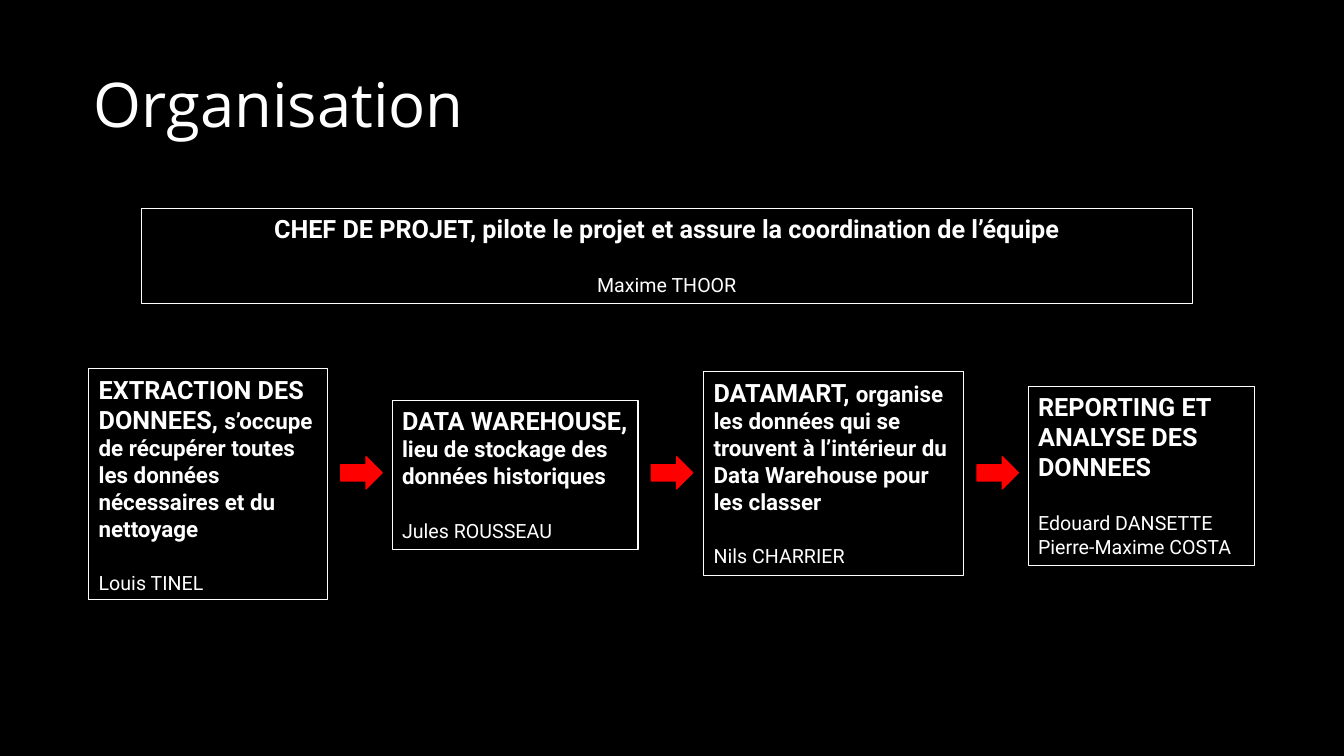
from dataclasses import dataclass
from typing import Optional

from pptx import Presentation
from pptx.dml.color import RGBColor
from pptx.enum.shapes import MSO_SHAPE as SHAPE
from pptx.enum.text import MSO_AUTO_SIZE as AUTO, PP_ALIGN as ALIGN
from pptx.util import Pt

WHITE, BLACK, RED = "FFFFFF", "000000", "FF0000"
BODY, HEADING = "Roboto", "Open Sans"
NAME_GAP = 21
ARROW_GAP, ARROW_TOP, ARROW_W, ARROW_H = 9.5, 326.2, 29.5, 23


@dataclass
class Role:
    left: float
    top: float
    width: float
    height: float
    title: str
    people: list[str]
    detail: str = ""
    detail_size: int = 16
    align: Optional[ALIGN] = None


manager = Role(100.8, 149, 751, 67.7, "CHEF DE PROJET, ", ["Maxime THOOR"],
               "pilote le projet et assure la coordination de l’équipe",
               18, ALIGN.CENTER)
steps = [
    Role(63.4, 263.5, 170.6, 164.9, "EXTRACTION DES DONNEES, ", ["Louis TINEL"],
         "s’occupe de récupérer toutes les données nécessaires et du nettoyage"),
    Role(280.1, 285.8, 175.7, 106.6, "DATA WAREHOUSE, ", ["Jules ROUSSEAU"],
         "lieu de stockage des données historiques"),
    Role(502.6, 265.7, 185.8, 145.4, "DATAMART, ", ["Nils CHARRIER"],
         "organise les données qui se trouvent à l’intérieur du "
         "Data Warehouse pour les classer"),
    Role(734.4, 275.8, 162, 128.2, "REPORTING ET ANALYSE DES DONNEES",
         ["Edouard DANSETTE", "Pierre-Maxime COSTA"]),
]


def rgb(color: str) -> RGBColor:
    return RGBColor.from_string(color)


def add_run(p, text: str, size: float, bold: bool = False, name: str = BODY) -> None:
    r = p.add_run()
    r.text = text
    for key, value in dict(size=Pt(size), bold=bold, name=name).items():
        setattr(r.font, key, value)
    r.font.color.rgb = rgb(WHITE)


def add_text_box(left: float, top: float, width: float, height: float):
    s = slide.shapes.add_textbox(Pt(left), Pt(top), Pt(width), Pt(height))
    s.text_frame.word_wrap = True
    return s


def add_role(role: Role) -> None:
    s = add_text_box(role.left, role.top, role.width, role.height)
    s.line.color.rgb = rgb(WHITE)
    s.line.width = Pt(0.75)
    tf = s.text_frame
    tf.auto_size = AUTO.SHAPE_TO_FIT_TEXT
    p = tf.paragraphs[0]
    p.alignment = role.align
    add_run(p, role.title, 18, bold=True)
    if role.detail:
        add_run(p, role.detail, role.detail_size, bold=True)
    for i, person in enumerate(role.people):
        p = tf.add_paragraph()
        p.alignment = role.align
        p.space_before = Pt(0 if i else NAME_GAP)
        add_run(p, person, 14)


def add_arrow(left: float) -> None:
    s = slide.shapes.add_shape(SHAPE.RIGHT_ARROW, Pt(left), Pt(ARROW_TOP),
                               Pt(ARROW_W), Pt(ARROW_H))
    s.shadow.inherit = False
    s.fill.solid()
    s.fill.fore_color.rgb = rgb(RED)
    s.line.color.rgb = rgb(RED)
    s.line.width = Pt(1)


prs = Presentation()
prs.slide_width, prs.slide_height = Pt(960), Pt(540)
slide = prs.slides.add_slide(prs.slide_layouts[6])
slide.background.fill.solid()
slide.background.fill.fore_color.rgb = rgb(BLACK)

# Title
p = add_text_box(60, 49.7, 720, 99.4).text_frame.paragraphs[0]
p.line_spacing = 0.9
add_run(p, "Organisation", 44, name=HEADING)

# Project manager above the processing chain
add_role(manager)
for step in steps:
    add_role(step)

# Arrows between consecutive steps
for step in steps[:-1]:
    add_arrow(step.left + step.width + ARROW_GAP)

prs.save("out.pptx")
